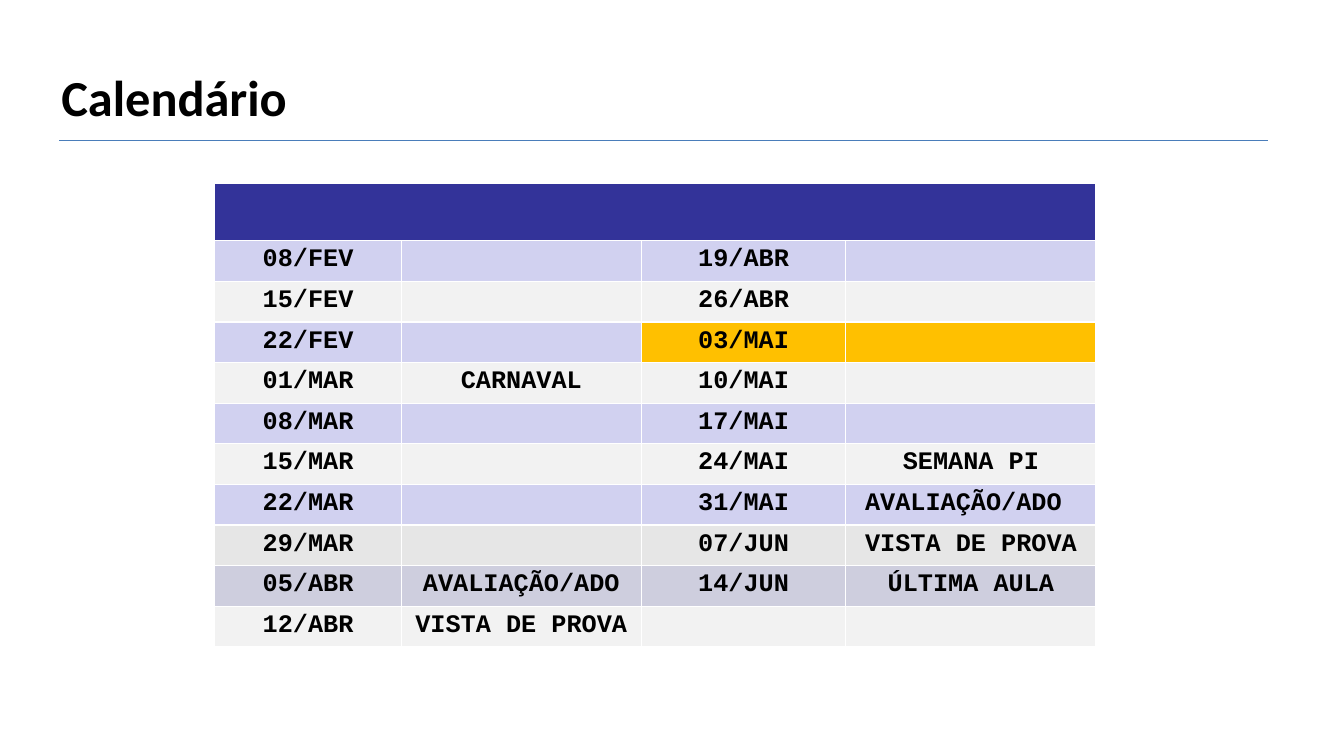
from lxml.etree import SubElement
from pptx import Presentation
from pptx.dml.color import RGBColor
from pptx.enum.shapes import MSO_CONNECTOR
from pptx.enum.text import MSO_ANCHOR, PP_ALIGN
from pptx.oxml.ns import qn
from pptx.util import Pt

BLACK = RGBColor(0x00, 0x00, 0x00)
WHITE = RGBColor(0xFF, 0xFF, 0xFF)
BLUE = RGBColor(0x4A, 0x7D, 0xBA)
NAVY = RGBColor(0x33, 0x33, 0x99)
LILAC = RGBColor(0xD1, 0xD1, 0xF0)
PALE = RGBColor(0xF2, 0xF2, 0xF2)
GREY = RGBColor(0xE6, 0xE6, 0xE6)
MAUVE = RGBColor(0xCE, 0xCE, 0xDE)
GOLD = RGBColor(0xFF, 0xC0, 0x00)

TITLE = {"name": "Calibri", "size": Pt(36), "bold": True}
ENTRY = {"name": "Courier New", "size": Pt(18), "bold": True}

DATES = [
    ("08/FEV", "", "19/ABR", ""),
    ("15/FEV", "", "26/ABR", ""),
    ("22/FEV", "", "03/MAI", ""),
    ("01/MAR", "CARNAVAL", "10/MAI", ""),
    ("08/MAR", "", "17/MAI", ""),
    ("15/MAR", "", "24/MAI", "SEMANA PI"),
    ("22/MAR", "", "31/MAI", "AVALIAÇÃO/ADO "),
    ("29/MAR", "", "07/JUN", "VISTA DE PROVA"),
    ("05/ABR", "AVALIAÇÃO/ADO", "14/JUN", "ÚLTIMA AULA"),
    ("12/ABR", "VISTA DE PROVA", "", ""),
]
FILLS = {(7, col): GREY for col in range(4)}
FILLS.update({(8, col): MAUVE for col in range(4)})
FILLS.update({(2, col): GOLD for col in (2, 3)})


def px(count):
    return count * 9144


class Slide:
    def __init__(self, deck):
        self.page = deck.slides.add_slide(deck.slide_layouts[6])

    def label(self, frame, text, style, align):
        para = frame.paragraphs[0]
        para.alignment = align
        run = para.add_run()
        run.text = text
        for key, value in style.items():
            setattr(run.font, key, value)
        run.font.color.rgb = BLACK

    def title(self, text, *area):
        box = self.page.shapes.add_textbox(*map(px, area))
        frame = box.text_frame
        frame.word_wrap = True
        frame.vertical_anchor = MSO_ANCHOR.MIDDLE
        self.label(frame, text, TITLE, PP_ALIGN.LEFT)

    def rule(self, *ends):
        line = self.page.shapes.add_connector(
            MSO_CONNECTOR.STRAIGHT, *map(px, ends))
        line.line.color.rgb = BLUE
        line.line.width = Pt(0.75)
        SubElement(line._element.spPr, qn("a:effectLst"))

    def paint(self, cell, color):
        props = cell._tc.get_or_add_tcPr()
        for side in ("lnL", "lnR", "lnT", "lnB"):
            edge = SubElement(props, qn("a:" + side), w=str(Pt(1)))
            fill = SubElement(edge, qn("a:solidFill"))
            SubElement(fill, qn("a:srgbClr"), val=str(WHITE))
        cell.fill.solid()
        cell.fill.fore_color.rgb = color

    def table(self, rows, fills, widths, head, left, top, high):
        area = map(px, (left, top, sum(widths), high))
        grid = self.page.shapes.add_table(
            len(rows) + 1, len(widths), *area).table
        for col, width in zip(grid.columns, widths):
            col.width = px(width)
        for row in grid.rows:
            row.height = px(high - head) // len(rows)
        grid.rows[0].height = px(head)
        for col in range(len(widths)):
            self.paint(grid.cell(0, col), NAVY)
        grid.cell(0, 0).merge(grid.cell(0, len(widths) - 1))
        for row, texts in enumerate(rows):
            band = PALE if row % 2 else LILAC
            for col, text in enumerate(texts):
                cell = grid.cell(row + 1, col)
                self.paint(cell, fills.get((row, col), band))
                if text:
                    self.label(cell.text_frame, text, ENTRY, PP_ALIGN.CENTER)


def main():
    deck = Presentation()
    deck.slide_width, deck.slide_height = px(1333), px(750)
    slide = Slide(deck)
    slide.title("Calendário", 51, 60, 899, 71)
    slide.rule(59, 139, 1258, 139)
    slide.table(DATES, FILLS, (185, 238, 203, 248), 57, 213, 182, 460)
    deck.save("out.pptx")


if __name__ == "__main__":
    main()
